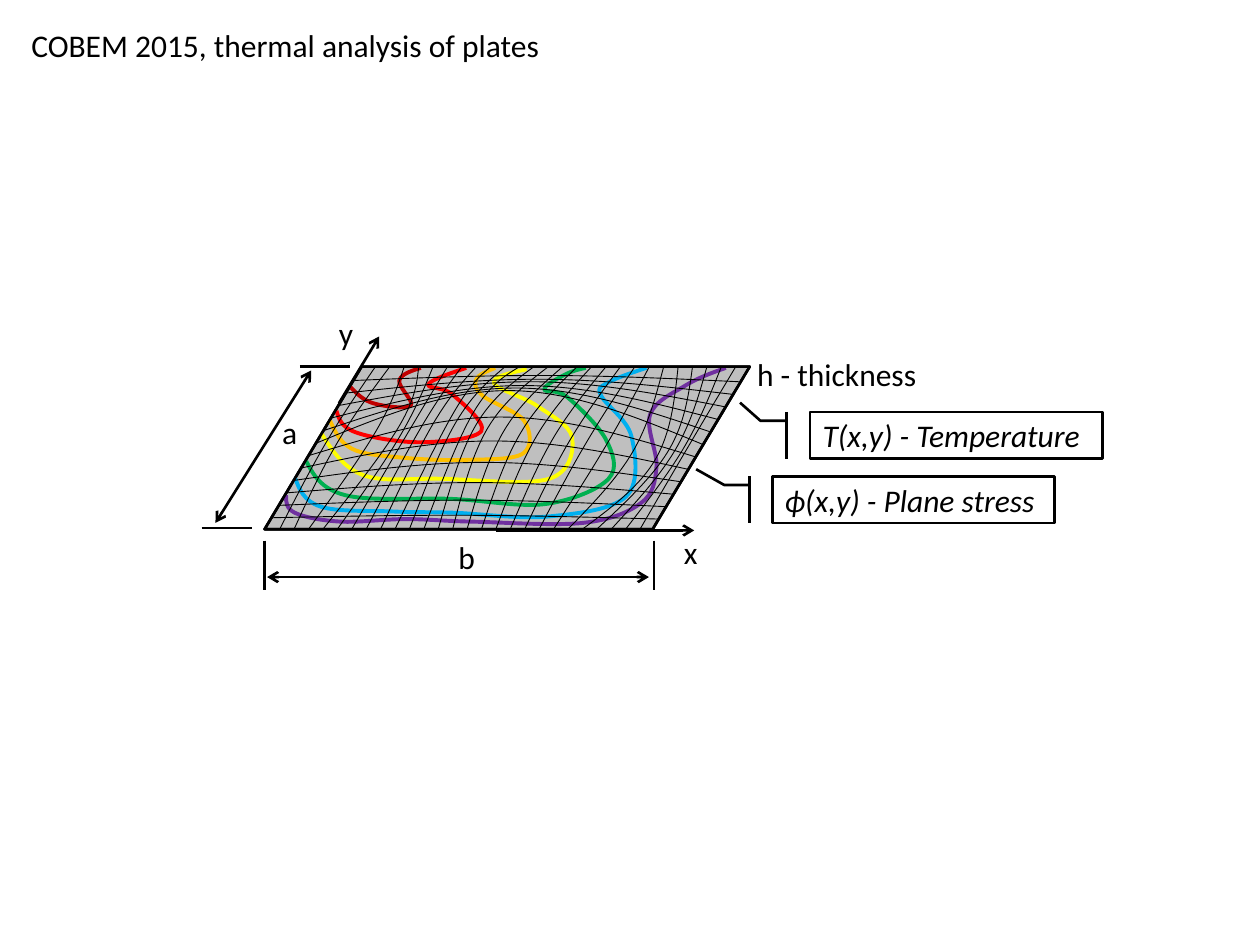
"""Build the slide on thermal analysis of plates."""
from lxml import etree
from pptx import Presentation
from pptx import util as u
from pptx.dml.color import RGBColor
from pptx.enum import shapes, text
from pptx.oxml.ns import qn

BLACK = RGBColor(0, 0, 0)
GREY = RGBColor(0xBF, 0xBF, 0xBF)
DARK = RGBColor(0xC0, 0, 0)
RED = RGBColor(0xFF, 0, 0)
YELLOW = RGBColor(0xFF, 0xFF, 0)
GREEN = RGBColor(0, 0xB0, 0x50)
BLUE = RGBColor(0, 0xB0, 0xF0)
PURPLE = RGBColor(0x70, 0x30, 0xA0)
ORANGE = RGBColor(0xFF, 0xC0, 0)
INCH = 2.54

deck = Presentation()
deck.slide_width = u.Cm(25.4)
deck.slide_height = u.Cm(19.05)
slide = deck.slides.add_slide(deck.slide_layouts[6])
tree = slide.shapes


def curve(knots, color, width):
    spots = [complex(*knot) for knot in knots]
    leans = [(b - a) / 6 for a, b in zip(spots, spots[2:])]
    first = (spots[1] - leans[0] - spots[0]) / 2
    last = (spots[-1] - spots[-2] - leans[-1]) / 2
    leans = [first, *leans, last]
    route = []
    for i in range(len(spots) - 1):
        route += [spots[i] + leans[i], spots[i + 1] - leans[i + 1], spots[i + 1]]
    pen = tree.build_freeform(*[u.Cm(n * INCH) for n in knots[0]])
    pen.add_line_segments([(u.Cm(p.real * INCH), u.Cm(p.imag * INCH))
                           for p in route], close=False)
    shape = pen.convert_to_shape()
    track = shape._element.find(".//" + qn("a:path"))
    steps = track.findall(qn("a:lnTo"))
    for i in range(0, len(steps), 3):
        bend = etree.SubElement(track, qn("a:cubicBezTo"))
        for step in steps[i:i + 3]:
            bend.append(step[0])
            track.remove(step)
    shape.fill.background()
    shape.shadow.inherit = False
    shape.line.color.rgb = color
    shape.line.width = u.Pt(width)


def write(shape, words, slant=False):
    line = shape.text_frame.paragraphs[0]
    line.alignment = text.PP_ALIGN.LEFT
    run = line.add_run()
    run.text = words
    look = {"name": "Calibri", "size": u.Pt(18), "italic": slant}
    for key, value in look.items():
        setattr(run.font, key, value)
    run.font.color.rgb = BLACK


bands = [
    (DARK, [(2.78, 3.07), (2.96, 3.2), (3.26, 3.22), (3.17, 3.02), (3.34, 2.92)]),
    (RED, [(2.67, 3.26), (2.82, 3.43), (3.34, 3.51), (3.82, 3.42),
           (3.59, 3.13), (3.4, 3.05), (3.7, 2.92)]),
    (YELLOW, [(2.55, 3.44), (2.88, 3.77), (3.5, 3.8), (4.36, 3.8),
              (4.54, 3.47), (4.26, 3.22), (3.92, 3.04), (4.18, 2.93)]),
    (GREEN, [(2.43, 3.66), (2.74, 3.93), (3.59, 3.96), (4.33, 4), (4.83, 3.8),
             (4.81, 3.49), (4.5, 3.15), (4.32, 3.09), (4.49, 2.97), (4.65, 2.92)]),
    (BLUE, [(2.34, 3.79), (2.54, 4.02), (3.12, 4.06), (3.6, 4.07), (4.35, 4.1),
            (4.97, 3.94), (5.01, 3.46), (4.77, 3.14), (4.82, 3.04), (5.13, 2.92)]),
    (PURPLE, [(2.27, 3.93), (2.34, 4.07), (2.7, 4.14), (3.22, 4.12),
              (3.74, 4.14), (4.63, 4.15), (5.09, 3.99), (5.21, 3.71),
              (5.16, 3.29), (5.44, 3.06), (5.76, 2.92)]),
    (ORANGE, [(2.62, 3.34), (2.79, 3.56), (3.17, 3.63), (3.68, 3.65),
              (4.15, 3.6), (4.16, 3.34), (3.83, 3.14), (3.78, 3.01), (3.93, 2.92)]),
]
for solid in (True, False):
    area = [u.Cm(n * INCH) for n in (2.1, 2.91, 3.85, 1.29)]
    plate = tree.add_shape(shapes.MSO_SHAPE.FLOWCHART_DATA, *area)
    plate.shadow.inherit = False
    plate.line.color.rgb = BLACK
    plate.line.width = u.Pt(1.5)
    if solid:
        plate.fill.solid()
        plate.fill.fore_color.rgb = GREY
        for color, knots in bands:
            curve(knots, color, 2.25)
    else:
        plate.fill.background()

peaks = [4.09, 3.97, 3.83, 3.67, 3.5, 3.31, 3.1, 3.08, 3.06, 3.03, 3.01, 2.98]
rows = [(3.68 + 0.06 * i, y) for i, y in enumerate(peaks)]
cols = [(2.59, 3.51), (2.68, 3.51), (2.98, 3.43), (3.17, 3.38), (3.17, 3.47),
        (3.17, 3.55), (3.35, 3.38), (3.44, 3.36), (3.61, 3.26), (3.62, 3.35),
        (3.76, 3.27), (3.78, 3.37)]
cols += [(3.87 + 0.13 * i, 3.4 + 0.02 * i) for i in range(7)]
cols += [(4.82, 3.52), (5.02, 3.59), (5.2, 3.65), (5.31, 3.57), (5.36, 3.57),
         (5.43, 3.55), (5.46, 3.55)]
mesh = [(rows, (2.16, 4.11), (5.22, 4.12), (0.65, -1.09)),
        (cols, (2.98, 2.91), (2.22, 4.2), (2.86, 0))]
for mids, head, tail, span in mesh:
    for i, mid in enumerate(mids):
        part = i / (len(mids) - 1)
        start, end = ([a + part * s for a, s in zip(p, span)] for p in (head, tail))
        curve([start, mid, end], BLACK, 0.5)

both = ("headEnd", "tailEnd")
rules = [((2.69, 3.2, 3.01, 2.67), both[1:]), ((3.94, 4.21, 5.51, 4.21), both[1:])]
rules += [((x, 4.29, x, 4.68), ()) for x in (2.1, 5.19)]
rules += [((x, y, x + 0.4, y), ()) for x, y in ((1.6, 4.19), (2.38, 2.91))]
rules += [((1.71, 4.15, 2.47, 2.94), both), ((2.12, 4.58, 5.15, 4.58), both)]
for ends, tips in rules:
    rule = tree.add_connector(shapes.MSO_CONNECTOR.STRAIGHT,
                              *[u.Cm(n * INCH) for n in ends])
    rule.line.color.rgb = BLACK
    rule.line.width = u.Pt(1.5)
    for tip in tips:
        etree.SubElement(rule.line._get_or_add_ln(), qn("a:" + tip), type="arrow")
    etree.SubElement(rule._element.spPr, qn("a:effectLst"))

labels = [("COBEM 2015, thermal analysis of plates", 0.15, 0.16, 4.28),
          ("x", 5.33, 4.18, 0.31), ("y", 2.59, 2.44, 0.32),
          ("b", 3.54, 4.22, 0.34), ("a", 2.14, 3.23, 0.32),
          ("h - thickness", 5.91, 2.77, 1.48)]
for words, *area in labels:
    box = tree.add_textbox(*[u.Cm(n * INCH) for n in (*area, 0.4)])
    form = {"word_wrap": False, "auto_size": text.MSO_AUTO_SIZE.SHAPE_TO_FIT_TEXT}
    for key, value in form.items():
        setattr(box.text_frame, key, value)
    write(box, words)

notes = [("T(x,y) - Temperature", (6.43, 3.27, 2.32, 0.37), (-0.2, -0.24)),
         ("ϕ(x,y) - Plane stress", (6.13, 3.78, 2.24, 0.37), (-0.15, -0.27))]
for words, area, point in notes:
    note = tree.add_shape(shapes.MSO_SHAPE.LINE_CALLOUT_2_BORDER_AND_ACCENT_BAR,
                          *[u.Cm(n * INCH) for n in area])
    for i, value in enumerate((0.19, -0.08, 0.19, -0.17, *point)):
        note.adjustments[i] = value
    note.fill.background()
    note.shadow.inherit = False
    note.line.color.rgb = BLACK
    note.line.width = u.Pt(1.5)
    note.text_frame.vertical_anchor = text.MSO_ANCHOR.MIDDLE
    write(note, words, True)

deck.save("out.pptx")
